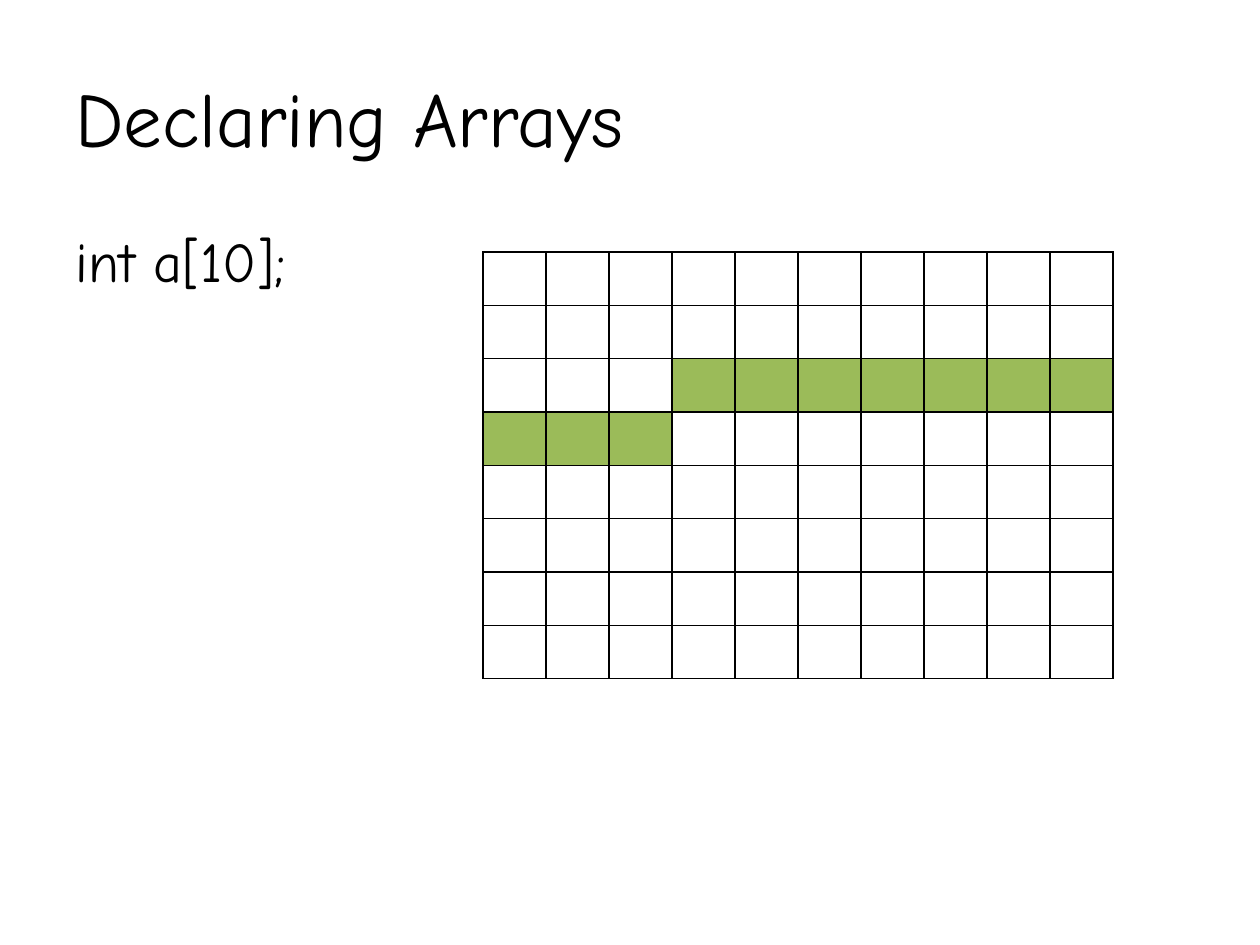
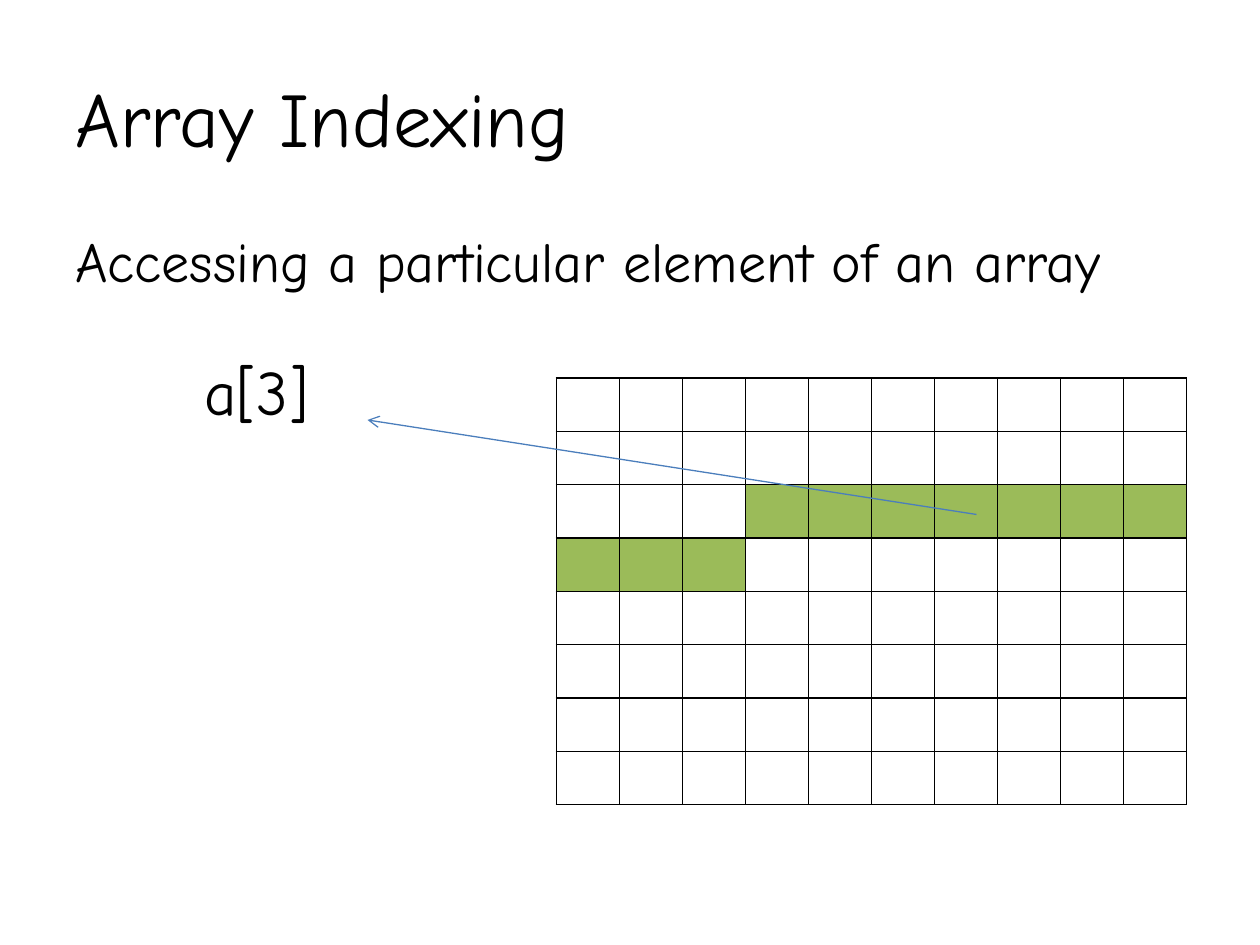
from dataclasses import dataclass

from lxml.etree import SubElement
from pptx import Presentation
from pptx.dml.color import RGBColor
from pptx.enum.shapes import MSO_CONNECTOR
from pptx.enum.text import MSO_ANCHOR
from pptx.oxml import parse_xml
from pptx.oxml.ns import nsdecls, qn
from pptx.util import Pt


@dataclass(frozen=True)
class Theme:
    font: str = "Comic Neue"
    ink: str = "000000"
    array_fill: str = "9BBB59"
    arrow: str = "4B7EBC"
    title_size: float = 44
    body_size: float = 32
    code_size: float = 36


THEME = Theme()
ROWS, COLUMNS = 8, 10
CELL_WIDTH, CELL_HEIGHT = 36, 30.5
ARRAY_START, ARRAY_LENGTH = 23, 10


def add_text(page, text, left, top, width, height, *, size,
             anchor=MSO_ANCHOR.TOP, wrap=True):
    box = page.shapes.add_textbox(Pt(left), Pt(top), Pt(width), Pt(height))
    frame = box.text_frame
    frame.word_wrap = wrap
    frame.vertical_anchor = anchor
    span = frame.paragraphs[0].add_run()
    span.text = text
    span.font.name = THEME.font
    span.font.size = Pt(size)
    span.font.color.rgb = RGBColor.from_string(THEME.ink)


def add_memory_grid(page, left, top):
    """Draw memory as a table, with the cells that hold the array filled."""
    frame = page.shapes.add_table(ROWS, COLUMNS, Pt(left), Pt(top),
                                  Pt(COLUMNS * CELL_WIDTH), Pt(ROWS * CELL_HEIGHT))
    table = frame.table
    table.first_row = False
    table.horz_banding = False
    for column in table.columns:
        column.width = Pt(CELL_WIDTH)
    for row in table.rows:
        row.height = Pt(CELL_HEIGHT)
    for address, cell in enumerate(table.iter_cells()):
        properties = cell._tc.get_or_add_tcPr()
        for side in ("lnL", "lnR", "lnT", "lnB"):
            properties.append(parse_xml(
                f'<a:{side} {nsdecls("a")} w="{Pt(1)}"><a:solidFill>'
                f'<a:srgbClr val="{THEME.ink}"/></a:solidFill></a:{side}>'))
        if ARRAY_START <= address < ARRAY_START + ARRAY_LENGTH:
            cell.fill.solid()
            cell.fill.fore_color.rgb = RGBColor.from_string(THEME.array_fill)
        else:
            cell.fill.background()


deck = Presentation()
deck.slide_width, deck.slide_height = Pt(720), Pt(540)

slides = [
    ("Declaring Arrays", "int a[10];", (276, 144)),
    ("Array Indexing", "Accessing a particular element of an array", (318, 216)),
]
for title, body, grid_corner in slides:
    page = deck.slides.add_slide(deck.slide_layouts[6])
    add_text(page, title, 36, 21.6, 648, 90,
             size=THEME.title_size, anchor=MSO_ANCHOR.MIDDLE)
    add_text(page, body, 36, 126, 648, 54, size=THEME.body_size)
    add_memory_grid(page, *grid_corner)

# The indexing slide also points from the element to its expression.
arrow = page.shapes.add_connector(MSO_CONNECTOR.STRAIGHT,
                                  Pt(558), Pt(294), Pt(210), Pt(240))
arrow.line.color.rgb = RGBColor.from_string(THEME.arrow)
arrow.line.width = Pt(0.75)
SubElement(arrow.line._get_or_add_ln(), qn("a:tailEnd"), type="arrow")
SubElement(arrow._element.spPr, qn("a:effectLst"))
add_text(page, "a[3]", 109.5, 198, 95, 51, size=THEME.code_size, wrap=False)

deck.save("out.pptx")
